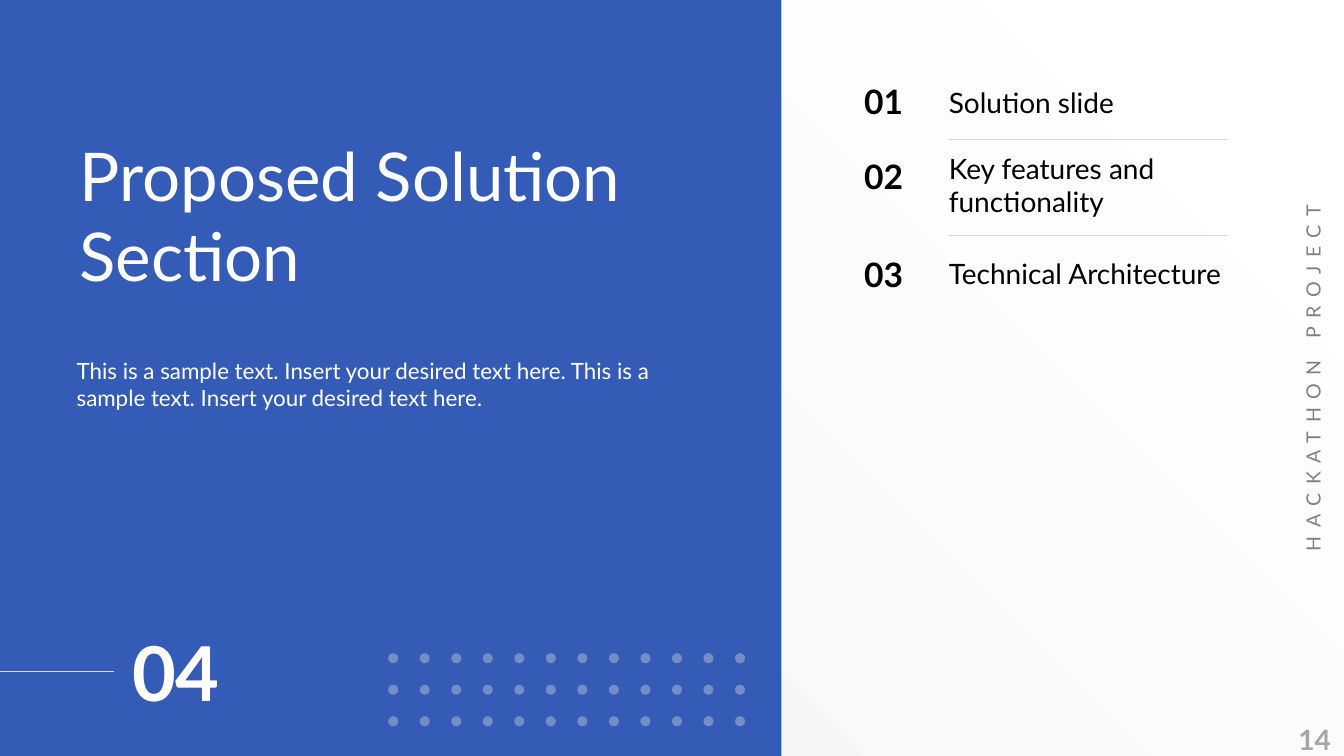
from lxml.etree import SubElement
from pptx import Presentation
from pptx.dml.color import RGBColor
from pptx.enum.shapes import MSO_CONNECTOR, MSO_SHAPE
from pptx.enum.text import MSO_ANCHOR, MSO_AUTO_SIZE, PP_ALIGN
from pptx.oxml.ns import qn
from pptx.util import Inches, Pt

HUES = {"blue": "345CB6", "white": "FFFFFF", "black": "000000", "mist": "F2F2F2",
        "rule": "D9D9D9", "dot": "E6E6E6", "side": "808080", "page": "A6A6A6"}


def hue(name):
    """Return the named colour."""
    return RGBColor.from_string(HUES[name])


def write(shape, text, size, color="black", bold=False, align=PP_ALIGN.LEFT,
          anchor=MSO_ANCHOR.MIDDLE, pad=0, track=0, font="Lato"):
    """Put one formatted paragraph in a shape."""
    frame = shape.text_frame
    frame.word_wrap = True
    frame.auto_size = MSO_AUTO_SIZE.NONE
    frame.vertical_anchor = anchor
    frame.margin_left = frame.margin_right = 0
    frame.margin_top = frame.margin_bottom = Inches(pad)
    para = frame.paragraphs[0]
    para.alignment = align
    para.space_before = Pt(0)
    run = para.add_run()
    run.text = text
    run.font.name, run.font.size, run.font.bold = font, Pt(size), bold
    run.font.color.rgb = hue(color)
    if track:
        shape.element.find(".//" + qn("a:rPr")).set("spc", str(track * 100))


class Deck:
    """Hold the style and the current slide."""

    def __init__(self):
        """Open a wide slide with a soft diagonal backdrop."""
        self.show = Presentation()
        self.show.slide_width, self.show.slide_height = Inches(13.33), Inches(7.5)
        self.slide = self.show.slides.add_slide(self.show.slide_layouts[1])
        self.shapes = self.slide.shapes
        fill = self.slide.background.fill
        fill.gradient()
        fill.gradient_angle = 225
        for stop, name, spot in zip(fill.gradient_stops, ("white", "mist"), (0.04, 1)):
            stop.color.rgb, stop.position = hue(name), spot

    def block(self, kind, x, y, w, h, color, alpha=100, home=None):
        """Draw a plain filled shape."""
        item = (home or self.shapes).add_shape(kind, *map(Inches, (x, y, w, h)))
        item.shadow.inherit = False
        item.fill.solid()
        item.fill.fore_color.rgb = hue(color)
        item.line.fill.background()
        if alpha < 100:
            tint = item.element.spPr.find(".//" + qn("a:srgbClr"))
            SubElement(tint, qn("a:alpha")).set("val", str(alpha * 1000))

    def dots(self, x, y, cols, rows, gap, size):
        """Draw a grouped grid of pale dots."""
        home = self.shapes.add_group_shape().shapes
        for row in range(rows):
            for col in range(cols):
                self.block(MSO_SHAPE.OVAL, x + col * gap, y + row * gap, size, size,
                           "dot", alpha=36, home=home)

    def rule(self, x, y, end):
        """Draw a thin level line."""
        line = self.shapes.add_connector(
            MSO_CONNECTOR.STRAIGHT, Inches(x), Inches(y), Inches(end), Inches(y))
        line.line.color.rgb, line.line.width = hue("rule"), Pt(0.75)
        SubElement(line.element.spPr, qn("a:effectLst"))

    def label(self, text, x, y, w, h, turn=0, **form):
        """Add a text box."""
        box = self.shapes.add_textbox(*map(Inches, (x, y, w, h)))
        box.rotation = turn
        write(box, text, **form)

    def holder(self, slot, text, x, y, w, h, **form):
        """Fill a placeholder and bring it to the front."""
        box = self.slide.placeholders[slot]
        box.left, box.top, box.width, box.height = map(Inches, (x, y, w, h))
        self.shapes.element.append(box.element)
        props = box.element.find(".//" + qn("a:p")).get_or_add_pPr()
        props.set("marL", "0")
        props.set("indent", "0")
        SubElement(props, qn("a:buNone"))
        write(box, text, pad=0.07, color="white", **form)


def main():
    """Build the section slide."""
    deck = Deck()
    deck.block(MSO_SHAPE.RECTANGLE, 0, 0, 7.75, 7.5, "blue")
    deck.rule(-0.83, 6.66, 1.13)
    deck.dots(3.85, 6.48, cols=12, rows=3, gap=3.44 / 11, size=0.1)
    deck.holder(0, "Proposed Solution Section", 0.79, 0.63, 6.1, 2.37,
                size=48, anchor=MSO_ANCHOR.BOTTOM)
    deck.holder(1, "This is a sample text. Insert your desired text here. "
                "This is a sample text. Insert your desired text here.",
                0.76, 3.47, 6.12, 1.14, size=16, anchor=MSO_ANCHOR.TOP)
    deck.label("04", 1.31, 5.95, 1.65, 1.42, size=54, color="white", bold=True, pad=0.07)

    topics = [("Solution slide", 0.75, 0.52, MSO_ANCHOR.MIDDLE),
              ("Key features and functionality", 1.5, 0.81, MSO_ANCHOR.TOP),
              ("Technical Architecture", 2.47, 0.49, MSO_ANCHOR.MIDDLE)]
    for num, (text, y, h, anchor) in enumerate(topics, 1):
        deck.label(f"{num:02}", 8.48, y, 0.57, 0.5, size=24, bold=True,
                   align=PP_ALIGN.CENTER)
        deck.label(text, 9.41, y, 2.78, h, size=20, anchor=anchor)
    for y in (1.38, 2.34):
        deck.rule(9.41, y, 12.17)

    deck.label("HACKATHON PROJECT", 10.91, 3.55, 4.22, 0.4, turn=270, size=14,
               color="side", align=PP_ALIGN.CENTER, pad=0.07, track=6)
    deck.label("14", 9.92, 7.14, 3.28, 0.39, size=20, color="page", bold=True,
               align=PP_ALIGN.RIGHT, pad=0.07)
    deck.show.save("out.pptx")


if __name__ == "__main__":
    main()
